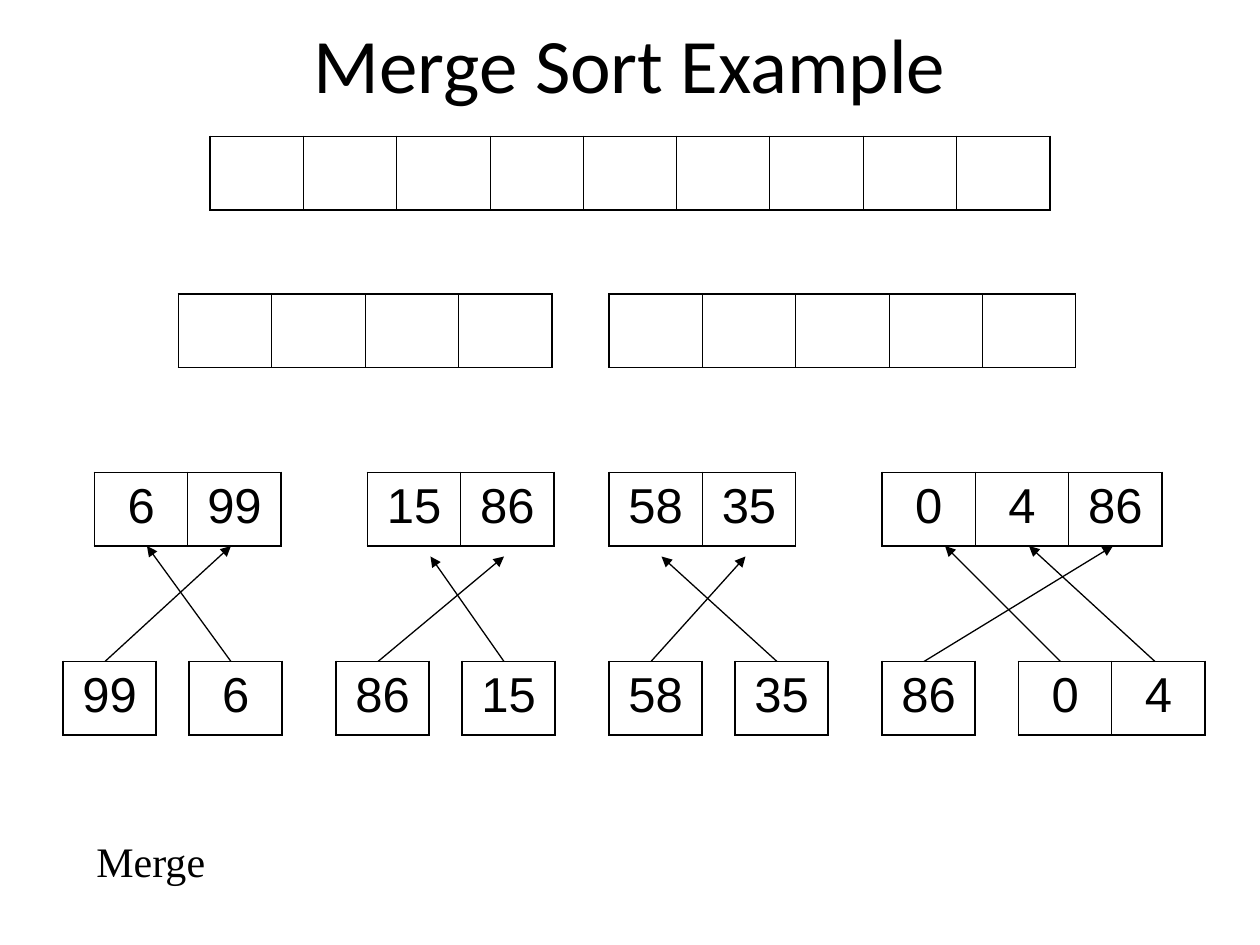
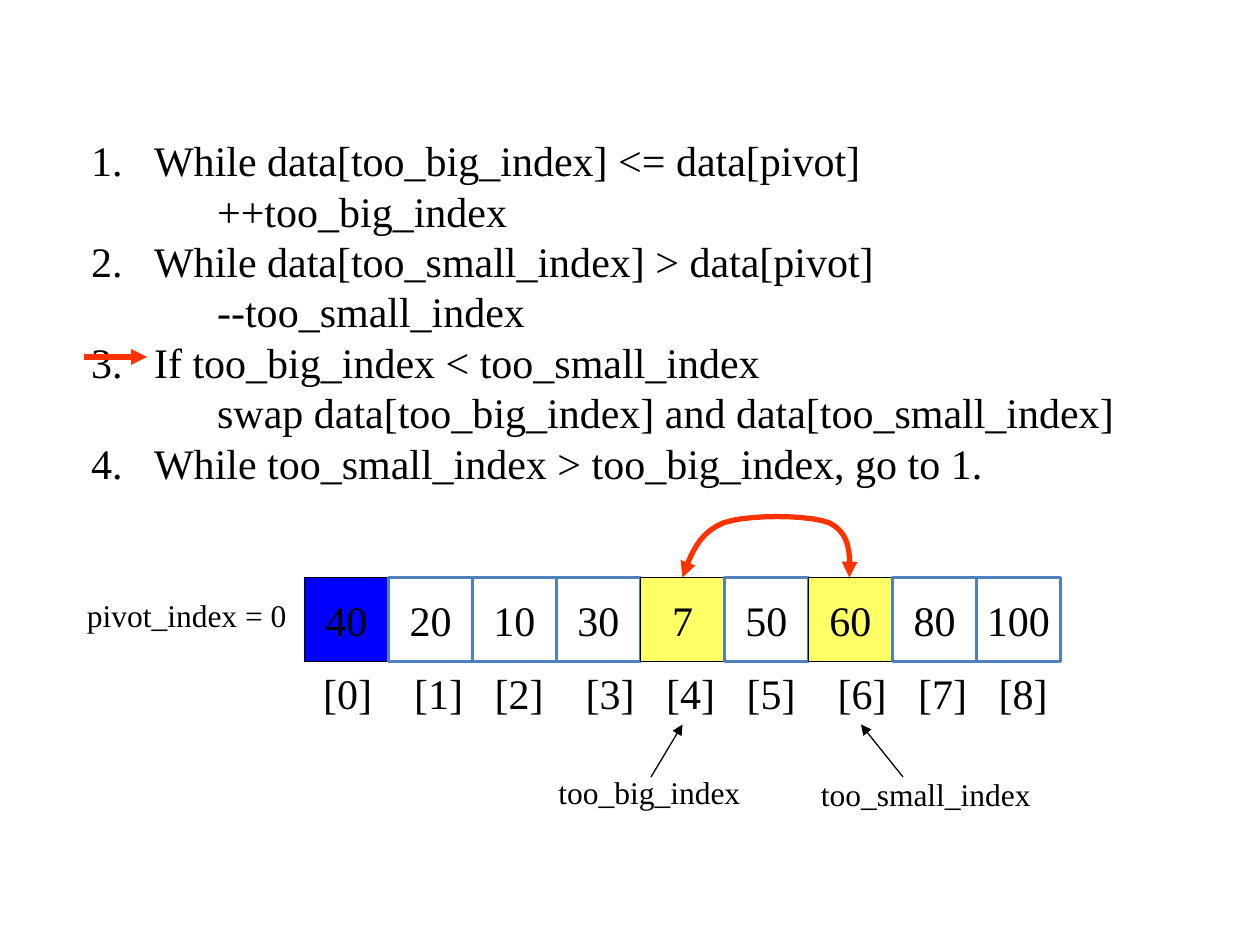
from dataclasses import dataclass
from itertools import accumulate

from lxml import etree
from pptx import Presentation
from pptx.dml.color import RGBColor
from pptx.enum.shapes import MSO_CONNECTOR, MSO_SHAPE
from pptx.enum.text import MSO_ANCHOR, PP_ALIGN
from pptx.oxml.ns import qn
from pptx.util import Inches, Pt

LEFT, CENTER = PP_ALIGN.LEFT, PP_ALIGN.CENTER
TOP, MIDDLE = MSO_ANCHOR.TOP, MSO_ANCHOR.MIDDLE
RECTANGLE = MSO_SHAPE.RECTANGLE
STRAIGHT = MSO_CONNECTOR.STRAIGHT


@dataclass(frozen=True)
class Theme:
    black: str = "000000"
    white: str = "FFFFFF"
    outline: str = "4F81BD"
    pivot: str = "0000FF"
    swapped: str = "FFFF66"
    accent: str = "FF3300"
    title_font: str = "Calibri"
    cell_font: str = "Arial"
    body_font: str = "Times New Roman"
    title_size: int = 44
    cell_size: int = 28
    body_size: int = 24
    label_size: int = 18
    outer_line: float = 1.08
    inner_line: float = 0.45
    thin_line: float = 0.75
    box_line: float = 2
    thick_line: float = 3


THEME = Theme()

# Merge sort: column, row and values of each list
SORT_LISTS = [
    (20, 13, [""] * 9),
    (17, 28, [""] * 4), (58, 28, [""] * 5),
    (9, 45, ["6", "99"]), (35, 45, ["15", "86"]),
    (58, 45, ["58", "35"]), (84, 45, ["0", "4", "86"]),
    (6, 63, ["99"]), (18, 63, ["6"]), (32, 63, ["86"]), (44, 63, ["15"]),
    (58, 63, ["58"]), (70, 63, ["35"]), (84, 63, ["86"]), (97, 63, ["0", "4"]),
]
# Start column, end column and end row of each merge move
MERGE_MOVES = [
    (110, 98, 52), (88, 106, 52), (101, 90, 52),
    (74, 63, 53), (62, 71, 53), (48, 41, 53), (36, 48, 53),
    (22, 14, 52), (10, 22, 52),
]

# Quicksort partition: each numbered step with its action
STEPS = [
    ("While data[too_big_index] <= data[pivot]", "++too_big_index"),
    ("While data[too_small_index] > data[pivot]", "--too_small_index"),
    ("If too_big_index < too_small_index",
     "swap data[too_big_index] and data[too_small_index]"),
    ("While too_small_index > too_big_index, go to 1.", None),
]
DATA = [40, 20, 10, 30, 7, 50, 60, 80, 100]
CELL_FILLS = {0: THEME.pivot, 4: THEME.swapped, 6: THEME.swapped}
INDEX_STEPS = [52, 46, 52, 46, 46, 52, 46, 46]  # points between index labels
SWAP_START = (65, 55)
SWAP_CURVES = [
    ((65.8, 52.8), (66.5, 50.8), (68.9, 49.8)),
    ((71.2, 49), (76.9, 49), (79, 49.8)),
    ((81, 50.8), (81, 52.8), (80.9, 55)),
]


def grid(*steps):
    """Lengths on a grid of 120 columns by 90 rows, twelve to the inch."""
    return [Inches(step / 12) for step in steps]


def rgb(color):
    return RGBColor.from_string(color)


def child(parent, tag, **attributes):
    return etree.SubElement(parent, qn(tag), attributes)


def write(paragraph, text, size=THEME.body_size, font=THEME.body_font, align=LEFT):
    paragraph.alignment = align
    span = paragraph.add_run()
    span.text = text
    span.font.size = Pt(size)
    span.font.name = font
    span.font.color.rgb = rgb(THEME.black)


def add_text(page, place, text, anchor=TOP, wrap=True, **style):
    box = page.shapes.add_textbox(*grid(*place))
    frame = box.text_frame
    frame.word_wrap = wrap
    frame.vertical_anchor = anchor
    write(frame.paragraphs[0], text, **style)
    return frame


def set_borders(cell, widths):
    properties = cell._tc.get_or_add_tcPr()
    for position, (side, width) in enumerate(widths.items()):
        line = etree.Element(qn(f"a:ln{side}"), w=str(int(Pt(width))))
        child(child(line, "a:solidFill"), "a:srgbClr", val=THEME.black)
        properties.insert(position, line)


def add_list(page, column, row, values):
    """A one-row table with thin lines between its cells."""
    count = len(values)
    place = grid(column, row, count * 80 / 9, 7)
    table = page.shapes.add_table(1, count, *place).table
    table.first_row = table.horz_banding = False
    for index, value in enumerate(values):
        cell = table.cell(0, index)
        cell.fill.solid()
        cell.fill.fore_color.rgb = rgb(THEME.white)
        outer, inner = THEME.outer_line, THEME.inner_line
        set_borders(cell, {
            "L": inner if index else outer,
            "R": inner if index < count - 1 else outer,
            "T": outer,
            "B": outer,
        })
        if value:
            write(cell.text_frame.paragraphs[0], value, size=THEME.cell_size,
                  font=THEME.cell_font, align=CENTER)


def style_line(shape, color, width, ends):
    shape.line.color.rgb = rgb(color)
    shape.line.width = Pt(width)
    line = shape.element.spPr.find(qn("a:ln"))
    for end in ends:
        child(line, end, type="triangle")


def add_arrow(page, start, end, color=THEME.black, width=THEME.thin_line):
    arrow = page.shapes.add_connector(STRAIGHT, *grid(*start, *end))
    style_line(arrow, color, width, ["a:tailEnd"])
    child(arrow.element.spPr, "a:effectLst")


def add_box(page, place, text, fill):
    box = page.shapes.add_shape(RECTANGLE, *grid(*place))
    box.shadow.inherit = False
    box.fill.solid()
    box.fill.fore_color.rgb = rgb(fill)
    plain = fill == THEME.white
    box.line.color.rgb = rgb(THEME.outline if plain else THEME.black)
    box.line.width = Pt(THEME.box_line if plain else THEME.thin_line)
    box.text_frame.word_wrap = False
    box.text_frame.vertical_anchor = MIDDLE
    write(box.text_frame.paragraphs[0], text, align=CENTER)


def curve_points(start, curves, steps=10):
    """Points along a chain of cubic Bezier curves."""
    for first, second, end in curves:
        for step in range(1, steps + 1):
            t = step / steps
            weights = ((1 - t) ** 3, 3 * t * (1 - t) ** 2, 3 * t * t * (1 - t), t ** 3)
            corners = (start, first, second, end)
            yield grid(*(sum(w * corner[axis] for w, corner in zip(weights, corners))
                         for axis in (0, 1)))
        start = end


def add_swap_curve(page):
    builder = page.shapes.build_freeform(*grid(*SWAP_START))
    builder.add_line_segments(curve_points(SWAP_START, SWAP_CURVES), close=False)
    curve = builder.convert_to_shape()
    curve.shadow.inherit = False
    curve.fill.background()
    style_line(curve, THEME.accent, THEME.thick_line, ["a:headEnd", "a:tailEnd"])


def indent(paragraph, left, first=0.0):
    properties = paragraph._p.get_or_add_pPr()
    properties.set("marL", str(Inches(left)))
    properties.set("indent", str(Inches(first)))
    return properties


def add_steps(page):
    (condition, action), *rest = STEPS
    frame = add_text(page, (7.5, 12.25, 111.8, 49.2), condition)
    number_step(frame.paragraphs[0])
    add_action(frame, action)
    for condition, action in rest:
        paragraph = frame.add_paragraph()
        write(paragraph, condition)
        number_step(paragraph)
        if action:
            add_action(frame, action)


def number_step(paragraph):
    child(indent(paragraph, 0.5, -0.5), "a:buAutoNum", type="arabicPeriod")


def add_action(frame, action):
    paragraph = frame.add_paragraph()
    paragraph.level = 1
    indent(paragraph, 1)
    write(paragraph, action)


def add_index_labels(page):
    labels = "\t".join(f"[{index}]" for index in range(len(DATA)))
    frame = add_text(page, (29.6, 63, 73, 6), labels)
    tabs = child(frame.paragraphs[0]._p.get_or_add_pPr(), "a:tabLst")
    for position in accumulate(INDEX_STEPS):
        child(tabs, "a:tab", pos=str(Pt(position)), algn="l")


def build_merge_page(page):
    add_text(page, (9, 0, 102, 12), "Merge Sort Example", anchor=MIDDLE,
             size=THEME.title_size, font=THEME.title_font, align=CENTER)
    for column, row, values in SORT_LISTS:
        add_list(page, column, row, values)
    add_text(page, (8, 79, 61, 6), "Merge")
    for start, end, row in MERGE_MOVES:
        add_arrow(page, (start, 63), (end, row))


def build_partition_page(page):
    add_steps(page)
    # Array with its indices
    for index, value in enumerate(DATA):
        add_box(page, (29 + 8 * index, 55, 8, 8), str(value),
                CELL_FILLS.get(index, THEME.white))
    add_index_labels(page)
    # Names of the index variables
    add_text(page, (7.1, 56.2, 21.4, 4.8), "pivot_index = 0", wrap=False,
             size=THEME.label_size)
    add_text(page, (52, 73, 38, 4.8), "too_big_index", size=THEME.label_size)
    add_text(page, (77, 73.2, 28, 4.8), "too_small_index", size=THEME.label_size)
    add_arrow(page, (86, 74), (82, 69))
    add_arrow(page, (62, 74), (65, 69))
    # Current step and swap
    add_arrow(page, (8, 34), (14, 34), THEME.accent, THEME.thick_line)
    add_swap_curve(page)


def main():
    deck = Presentation()
    deck.slide_width, deck.slide_height = grid(120, 90)
    blank = deck.slide_layouts[6]
    for build in (build_merge_page, build_partition_page):
        build(deck.slides.add_slide(blank))
    deck.save("out.pptx")


if __name__ == "__main__":
    main()
